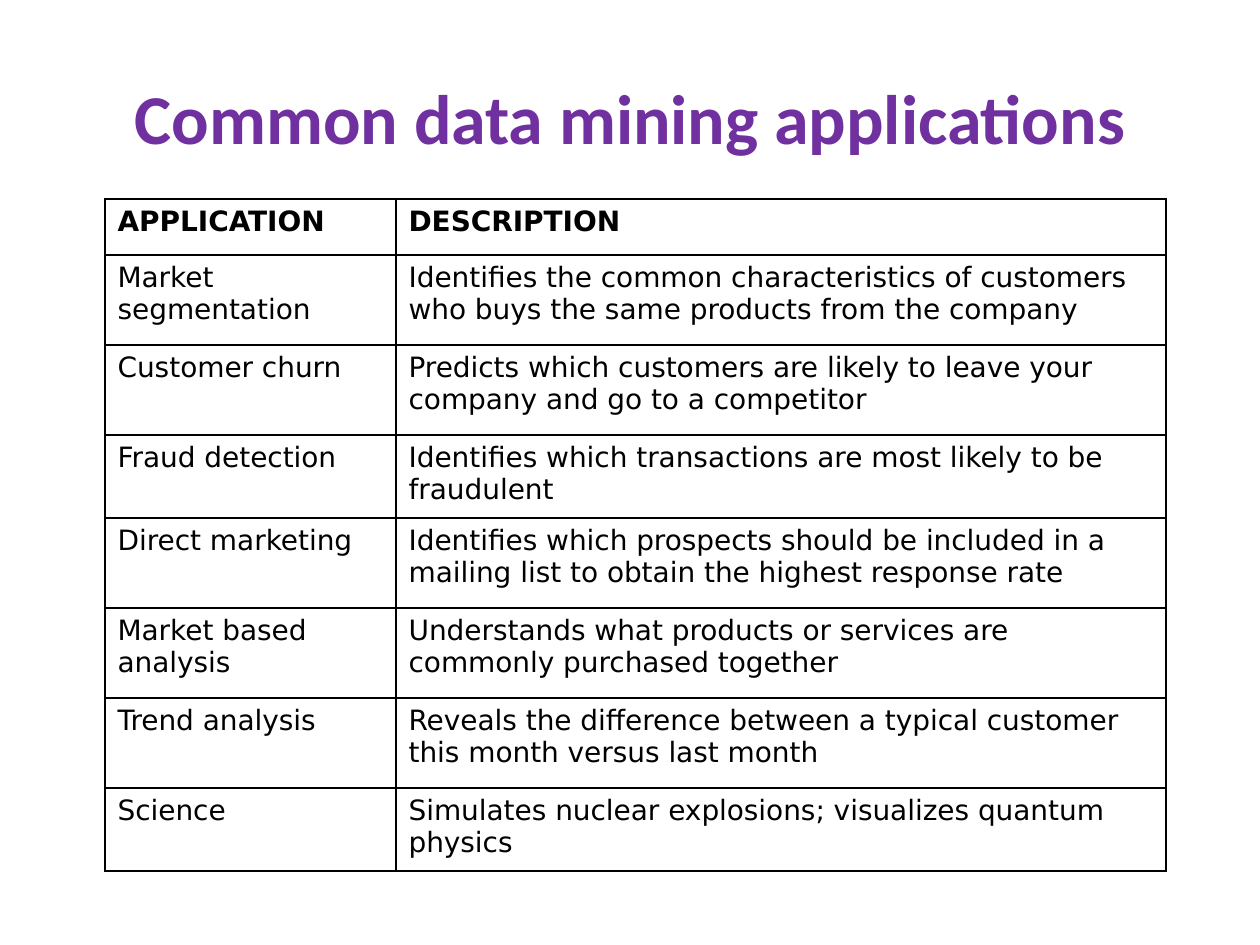
from lxml import etree
from pptx import Presentation
from pptx.dml.color import RGBColor
from pptx.enum.text import MSO_ANCHOR, PP_ALIGN
from pptx.oxml.ns import qn
from pptx.util import Pt

EMU_PER_INCH = 914400
PX_PER_INCH = 126
CENTER = PP_ALIGN.CENTER
LEFT = PP_ALIGN.LEFT
MIDDLE = MSO_ANCHOR.MIDDLE
TOP = MSO_ANCHOR.TOP

COLORS = {"title": "7030A0", "text": "000000", "border": "000000"}
COLUMN_WIDTHS = [291, 770]
HEADER_HEIGHT, ROW_HEIGHT, SHORT_ROW_HEIGHT = 56, 90, 83
SHORT_ROWS = {"Fraud detection", "Science"}

HEADER = ("APPLICATION", "DESCRIPTION")
APPLICATIONS = [
    ("Market segmentation",
     "Identifies the common characteristics of customers who buys the same products from the company"),
    ("Customer churn",
     "Predicts which customers are likely to leave your company and go to a competitor"),
    ("Fraud detection",
     "Identifies which transactions are most likely to be fraudulent"),
    ("Direct marketing",
     "Identifies which prospects should be included in a mailing list to obtain the highest response rate"),
    ("Market based analysis",
     "Understands what products or services are commonly purchased together"),
    ("Trend analysis",
     "Reveals the difference between a typical customer this month versus last month"),
    ("Science",
     "Simulates nuclear explosions; visualizes quantum physics"),
]


def px(length):
    return round(length * EMU_PER_INCH / PX_PER_INCH)


def write_text(frame, text, font_name, size, color, bold, align):
    frame.text = text
    para = frame.paragraphs[0]
    para.alignment = align
    font = para.runs[0].font
    font.name = font_name
    font.size = Pt(size)
    font.bold = bold
    font.color.rgb = RGBColor.from_string(COLORS[color])


def add_title(page, text, left, top, width, height):
    box = page.shapes.add_textbox(px(left), px(top), px(width), px(height))
    frame = box.text_frame
    frame.word_wrap = True
    frame.vertical_anchor = MIDDLE
    write_text(frame, text, "Calibri", 40, "title", True, CENTER)


def set_borders(cell):
    """Draw a thin line on all four sides; borders must precede the fill."""
    properties = cell._tc.get_or_add_tcPr()
    for position, side in enumerate(("lnL", "lnR", "lnT", "lnB")):
        line = etree.Element(qn(f"a:{side}"), w=str(Pt(1)))
        fill = etree.SubElement(line, qn("a:solidFill"))
        etree.SubElement(fill, qn("a:srgbClr"), val=COLORS["border"])
        properties.insert(position, line)


def row_height(name):
    if name == HEADER[0]:
        return HEADER_HEIGHT
    return SHORT_ROW_HEIGHT if name in SHORT_ROWS else ROW_HEIGHT


def add_application_table(page, left, top):
    rows = [HEADER] + APPLICATIONS
    heights = [row_height(name) for name, _ in rows]
    frame = page.shapes.add_table(len(rows), len(HEADER), px(left), px(top),
                                  px(sum(COLUMN_WIDTHS)), px(sum(heights)))
    table = frame.table
    table.first_row = False
    table.horz_banding = False
    for column, width in zip(table.columns, COLUMN_WIDTHS):
        column.width = px(width)
    for row, height, texts in zip(table.rows, heights, rows):
        row.height = px(height)
        for cell, text in zip(row.cells, texts):
            cell.fill.background()
            cell.vertical_anchor = TOP
            set_borders(cell)
            write_text(cell.text_frame, text, "DejaVu Sans", 16, "text",
                       texts is HEADER, LEFT)


def main():
    deck = Presentation()
    deck.slide_width = px(1260)
    deck.slide_height = px(945)
    page = deck.slides.add_slide(deck.slide_layouts[6])
    add_title(page, "Common data mining applications", 63, 38, 1134, 157)
    add_application_table(page, 105, 199)
    deck.save("out.pptx")


if __name__ == "__main__":
    main()
